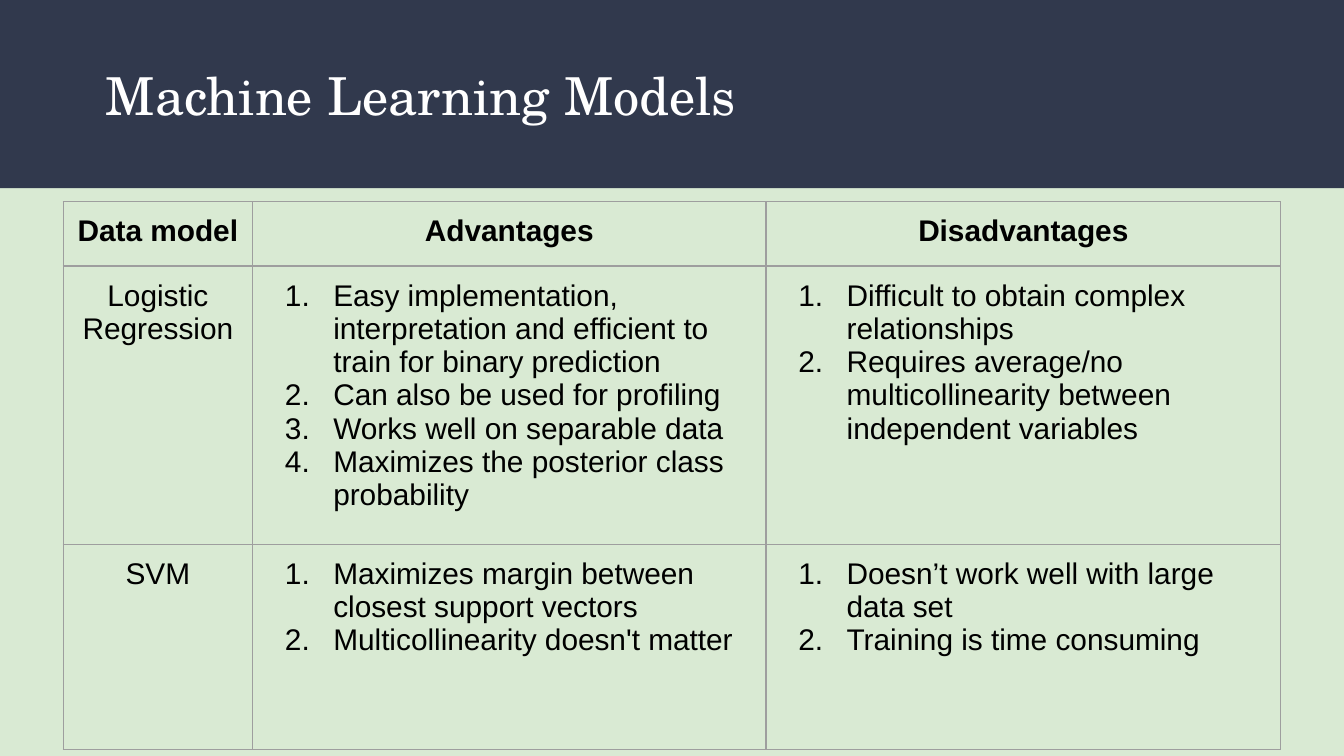
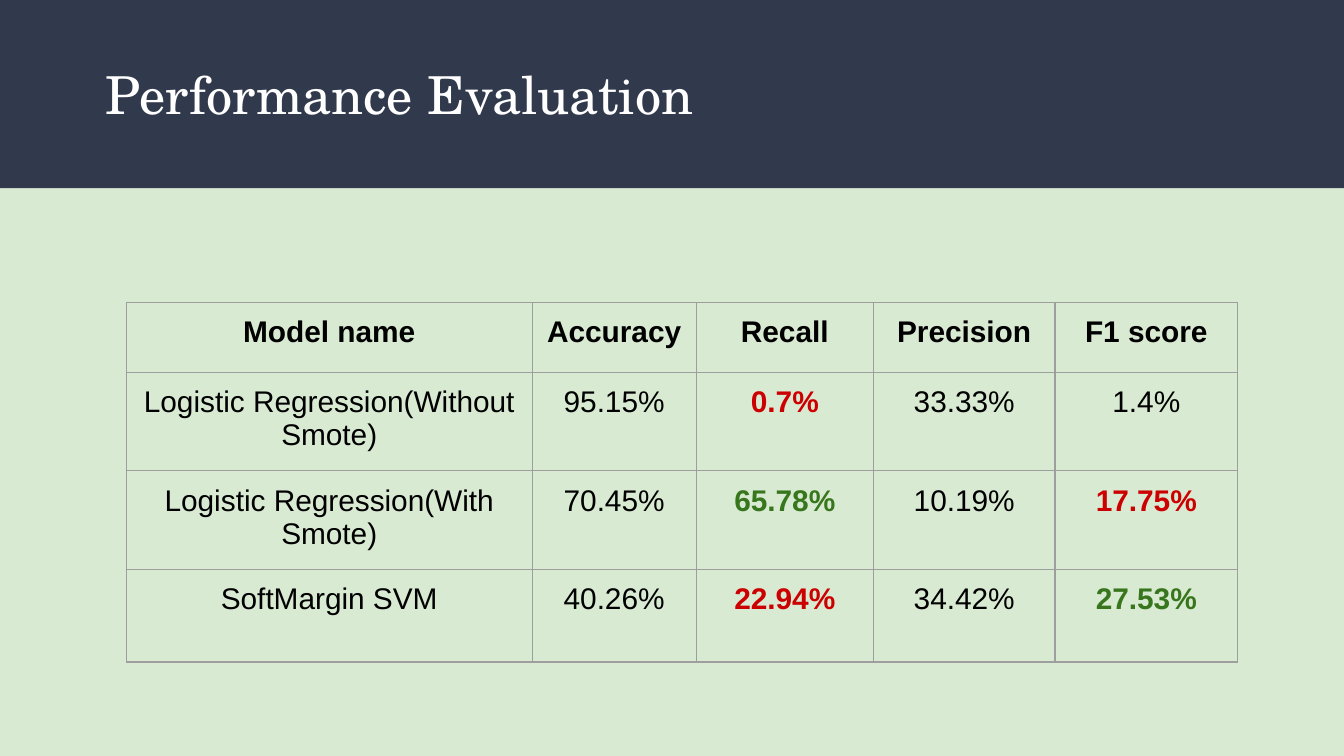
from lxml.etree import SubElement as Sub
from pptx import Presentation
from pptx.dml.color import RGBColor
from pptx.enum.shapes import MSO_SHAPE as Shape
from pptx.enum.text import MSO_ANCHOR as Anchor, PP_ALIGN as Align
from pptx.oxml.ns import qn
from pptx.util import Inches, Pt

NAVY, MINT, WHITE, BLACK = "31394D", "D9EAD3", "FFFFFF", "000000"
GRAY, RED, GREEN = "9E9E9E", "CC0000", "38761D"
SERIF, SANS = "TeX Gyre Schola", "Arial"
PAD = Inches(0.1)

MODELS = [
    ["Data model", "Advantages", "Disadvantages"],
    ["Logistic Regression",
     ["Easy implementation, interpretation and efficient to train for binary prediction",
      "Can also be used for profiling",
      "Works well on separable data",
      "Maximizes the posterior class probability"],
     ["Difficult to obtain complex relationships",
      "Requires average/no multicollinearity between independent variables"]],
    ["SVM",
     ["Maximizes margin between closest support vectors",
      "Multicollinearity doesn't matter"],
     ["Doesn’t work well with large data set",
      "Training is time consuming"]],
]
SCORES = [
    ["Model name", "Accuracy", "Recall", "Precision", "F1 score"],
    ["Logistic Regression(Without Smote)", "95.15%", "0.7%", "33.33%", "1.4%"],
    ["Logistic Regression(With Smote)", "70.45%", "65.78%", "10.19%", "17.75%"],
    ["SoftMargin SVM", "40.26%", "22.94%", "34.42%", "27.53%"],
]
MARKS = {(1, 2): RED, (2, 2): GREEN, (2, 4): RED, (3, 2): RED, (3, 4): GREEN}


def paint(fill, color):
    """Fill with a solid hex colour."""
    fill.solid()
    fill.fore_color.rgb = RGBColor.from_string(color)


def style(para, size, face, color, bold=False):
    """Format every run of a paragraph and its end mark."""
    for run in para.runs:
        font = run.font
        font.size, font.name, font.bold = Pt(size), face, bold
        paint(font.fill, color)
    Sub(para._p, qn("a:endParaRPr"), sz=str(size * 100))


def pad(box):
    """Set equal margins on a text frame or cell."""
    box.margin_left = box.margin_right = PAD
    box.margin_top = box.margin_bottom = PAD


def add_page(deck, title, top):
    """Add a slide with the shared background, band and title."""
    page = deck.slides.add_slide(deck.slide_layouts[6])
    paint(page.background.fill, MINT)
    band = page.shapes.add_shape(Shape.RECTANGLE, 0, 0, deck.slide_width, Inches(1.4))
    band.shadow.inherit = False
    paint(band.fill, NAVY)
    band.line.fill.background()
    box = page.shapes.add_textbox(Inches(0.69), Inches(top), Inches(9.32), Inches(0.68))
    frame = box.text_frame
    frame.word_wrap = True
    frame.vertical_anchor = Anchor.TOP
    pad(frame)
    frame.text = title
    style(frame.paragraphs[0], 28, SERIF, WHITE)
    return page


def number(para):
    """Turn a paragraph into a numbered item with a hanging indent."""
    props = para._p.get_or_add_pPr()
    props.set("marL", str(Inches(0.5)))
    props.set("indent", str(Inches(-0.36)))
    Sub(Sub(props, qn("a:buClr")), qn("a:srgbClr"), val=BLACK)
    Sub(props, qn("a:buFont"), typeface=SANS)
    Sub(props, qn("a:buAutoNum"), type="arabicPeriod")


def frame_cell(cell):
    """Give a cell thin gray borders and no fill."""
    props = cell._tc.get_or_add_tcPr()
    for side in ("lnL", "lnR", "lnT", "lnB"):
        line = Sub(props, qn("a:" + side), w=str(Pt(0.75)))
        Sub(Sub(line, qn("a:solidFill")), qn("a:srgbClr"), val=GRAY)
    cell.fill.background()


def fill_cell(cell, value, color, bold):
    """Write centred text, or a numbered list when given a list."""
    pad(cell)
    frame_cell(cell)
    listed = isinstance(value, list)
    frame = cell.text_frame
    frame.text = "\n".join(value) if listed else value
    for para in frame.paragraphs:
        style(para, 16, SANS, color, bold)
        if listed:
            number(para)
        else:
            para.alignment = Align.CENTER


def add_grid(page, left, top, wide, high, rows, marks):
    """Add a table; marked cells are bold and coloured."""
    shape = page.shapes.add_table(len(high), len(wide), Inches(left), Inches(top),
                                  Inches(sum(wide)), Inches(sum(high)))
    table = shape.table
    table.first_row = table.horz_banding = False
    for col, width in zip(table.columns, wide):
        col.width = Inches(width)
    for row, height in zip(table.rows, high):
        row.height = Inches(height)
    for r, row in enumerate(rows):
        for c, value in enumerate(row):
            bold = r == 0 or (r, c) in marks
            fill_cell(table.cell(r, c), value, marks.get((r, c), BLACK), bold)


def main():
    """Build both slides and save the deck."""
    deck = Presentation()
    deck.slide_width, deck.slide_height = Inches(10), Inches(10 * 9 / 16)
    page = add_page(deck, "Machine Learning Models", 0.37)
    add_grid(page, 0.47, 1.5, [1.41, 3.82, 3.83], [0.48, 2.07, 1.53], MODELS, {})
    page = add_page(deck, "Performance Evaluation", 0.36)
    add_grid(page, 0.94, 2.25, [3.02, 1.22, 1.32, 1.35, 1.36],
             [0.52] + [0.69] * 3, SCORES, MARKS)
    deck.save("out.pptx")


if __name__ == "__main__":
    main()
